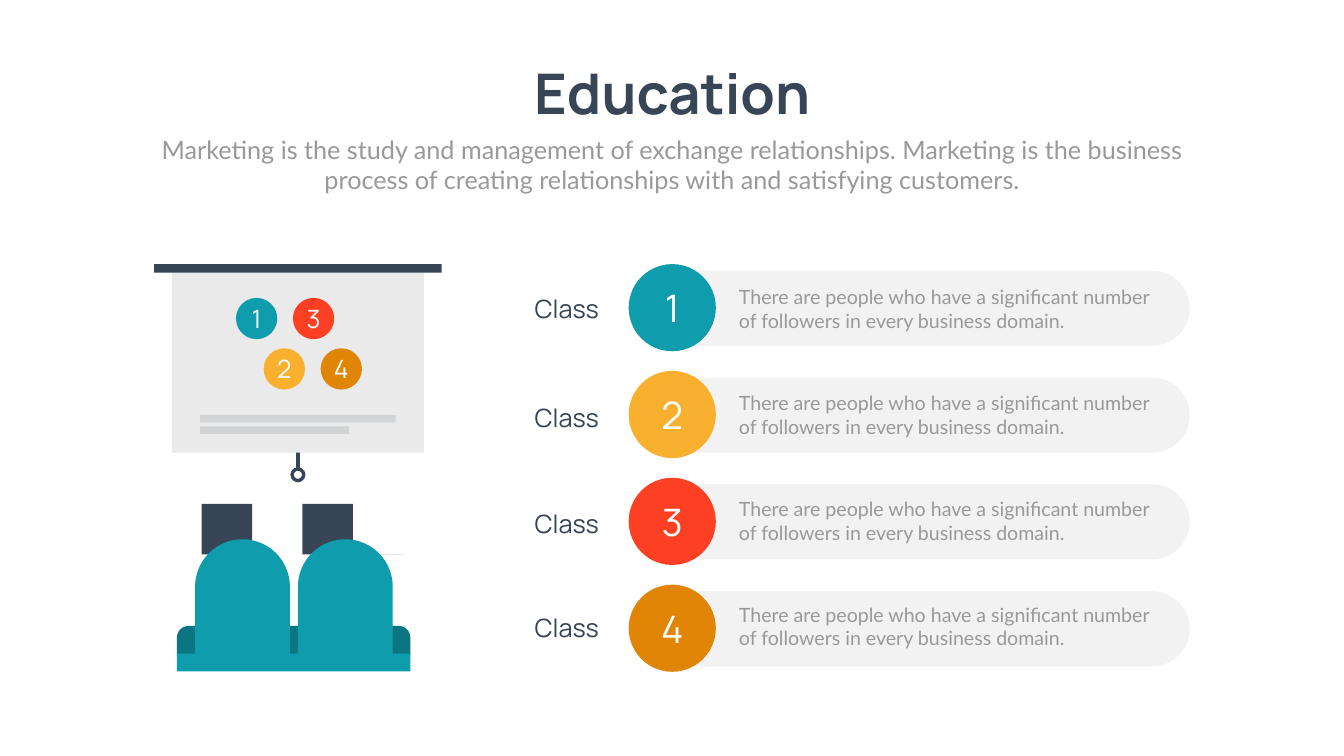
from dataclasses import dataclass

from lxml import etree
from pptx import Presentation
from pptx.dml.color import RGBColor
from pptx.enum.shapes import MSO_CONNECTOR, MSO_SHAPE as Preset
from pptx.enum.text import MSO_ANCHOR as Anchor, PP_ALIGN as Align
from pptx.oxml.ns import qn
from pptx.util import Inches, Pt

COLORS = {
    "background": "FEFFFE", "navy": "374556", "gray": "999999", "pill": "F2F2F2",
    "screen": "EAEAEA", "screen_text": "D1D3D4", "white": "FFFFFF",
    "teal": "0F9DAD", "dark_teal": "0B7581", "yellow": "FAB02F",
    "red": "FD4024", "orange": "E08505",
}
HEADING_FONT, BODY_FONT = "Manrope", "Lato"
INTRO = ("Marketing is the study and management of exchange relationships. "
         "Marketing is the business process of creating relationships with "
         "and satisfying customers.")
CLASS_NOTE = ("There are people who have a significant number of followers "
              "in every business domain.")
ROW_PITCH, NOTE_PITCH = 2.12, 2.1
BADGE_SIZE, SCREEN_BADGE_SIZE = 1.73, 0.82

Point = tuple[float, float]


@dataclass(frozen=True)
class ClassItem:
    number: int
    color: str
    label_top: float
    screen_left: float
    screen_top: float


@dataclass(frozen=True)
class Block:
    left: float
    top: float
    width: float
    height: float
    color: str
    preset: Preset = Preset.RECTANGLE
    rounding: float | None = None


CLASSES = [
    ClassItem(1, "teal", 5.77, 4.68, 5.91),
    ClassItem(2, "yellow", 7.93, 5.23, 6.91),
    ClassItem(3, "red", 10.04, 5.81, 5.91),
    ClassItem(4, "orange", 12.09, 6.36, 6.91),
]
SCREEN = [
    Block(5.76, 9.27, 0.3, 0.3, "navy", Preset.DONUT, 0.23),
    Block(3.41, 5.3, 5, 3.68, "screen"),
    Block(3.06, 5.24, 5.7, 0.17, "navy"),
    Block(3.97, 8.46, 2.95, 0.15, "screen_text"),
    Block(3.97, 8.23, 3.88, 0.15, "screen_text"),
]
SOFA_BACK = Block(3.51, 12.42, 4.63, 0.57, "dark_teal",
                  Preset.ROUND_2_SAME_RECTANGLE, 0.4)
SEATS = [
    *(Block(left, 10.7, 1.88, 2.29, "teal", Preset.ROUND_2_SAME_RECTANGLE, 0.5)
      for left in (3.87, 5.91)),
    Block(3.51, 12.97, 4.63, 0.35, "teal"),
]
MAN_HEAD = [
    (4.31, 9.82), (4.41, 9.73), (4.57, 9.7), (4.75, 9.73), (5, 9.71),
    (5.19, 9.81), (5.27, 9.98), (5.3, 10.11), (5.28, 10.24), (5.28, 10.4),
    (5.26, 10.58), (5.22, 10.71), (5.19, 10.79), (5.05, 10.85), (4.61, 10.86),
    (4.38, 10.85), (4.28, 10.65), (4.18, 10.38), (4.15, 10.2), (4.16, 10.02),
    (4.21, 9.9),
]
HAIR_PARTING = [(4.4, 9.79), (4.45, 9.77), (4.58, 9.75), (4.7, 9.76), (4.58, 9.77)]
WOMAN_HEAD = [
    (7.33, 10.4), (7.32, 10.35), (7.3, 10.15), (7.22, 9.97), (7.02, 9.79),
    (6.75, 9.74), (6.48, 9.8), (6.29, 10.02), (6.27, 10.24), (6.32, 10.46),
    (6.27, 10.69), (6.22, 10.78), (6.14, 10.83), (6.18, 10.87), (6.38, 11.02),
    (6.7, 11.09), (7.07, 11.05), (7.37, 10.93), (7.5, 10.85), (7.56, 10.75),
    (7.44, 10.69), (7.37, 10.57),
]


def rgb(color: str) -> RGBColor:
    return RGBColor.from_string(COLORS[color])


def finish(shape, color: str) -> None:
    shape.shadow.inherit = False
    shape.fill.solid()
    shape.fill.fore_color.rgb = rgb(color)
    shape.line.fill.background()


def write(shape, text: str, *, size: int, color: str, font: str = HEADING_FONT,
          bold: bool = False, align: Align = Align.LEFT,
          anchor: Anchor = Anchor.TOP, wrap: bool = True) -> None:
    frame = shape.text_frame
    frame.word_wrap = wrap
    frame.vertical_anchor = anchor
    paragraph = frame.paragraphs[0]
    paragraph.alignment = align
    run = paragraph.add_run()
    run.text = text
    run.font.name = font
    run.font.size = Pt(size)
    run.font.bold = bold
    run.font.color.rgb = rgb(color)


def add_text(slide, left: float, top: float, width: float, height: float,
             text: str, **text_format) -> None:
    box = slide.shapes.add_textbox(Inches(left), Inches(top),
                                   Inches(width), Inches(height))
    write(box, text, **text_format)


def add_block(slide, block: Block):
    shape = slide.shapes.add_shape(block.preset, Inches(block.left), Inches(block.top),
                                   Inches(block.width), Inches(block.height))
    if block.rounding is not None:
        shape.adjustments[0] = block.rounding
    finish(shape, block.color)
    return shape


def add_badge(slide, left: float, top: float, diameter: float,
              item: ClassItem, size: int) -> None:
    badge = add_block(slide, Block(left, top, diameter, diameter, item.color, Preset.OVAL))
    frame = badge.text_frame
    frame.margin_left = frame.margin_right = frame.margin_top = frame.margin_bottom = 0
    write(badge, str(item.number), size=size, color="white", align=Align.CENTER,
          anchor=Anchor.MIDDLE, wrap=False)


def smooth(points: list[Point], steps: int = 6) -> list[Point]:
    """Run a closed Catmull-Rom curve through the points."""
    curve = []
    count = len(points)
    for i in range(count):
        corners = [points[(i + k) % count] for k in (-1, 0, 1, 2)]
        for t in (step / steps for step in range(steps)):
            curve.append(tuple(
                b + t * (c - a) / 2 + t**2 * (2 * a - 5 * b + 4 * c - d) / 2
                + t**3 * (3 * b - a - 3 * c + d) / 2
                for a, b, c, d in zip(*corners)))
    return curve


def add_silhouette(slide, *outlines: list[Point]) -> None:
    """Draw the first outline filled, with any others cut out of it."""
    curves = [smooth(outline) for outline in outlines]
    builder = slide.shapes.build_freeform(*curves[0][0], scale=float(Inches(1)))
    for i, curve in enumerate(curves):
        if i:
            builder.move_to(*curve[0])
        builder.add_line_segments(curve[1:], close=True)
    finish(builder.convert_to_shape(), "navy")


def add_cord(slide) -> None:
    cord = slide.shapes.add_connector(MSO_CONNECTOR.STRAIGHT, Inches(5.91), Inches(8.95),
                                      Inches(5.91), Inches(9.3))
    cord.line.width = Pt(4.5)
    cord.line.color.rgb = rgb("navy")
    etree.SubElement(cord._element.spPr, qn("a:effectLst"))


def add_classroom(slide) -> None:
    add_cord(slide)
    for block in SCREEN:
        add_block(slide, block)
    for item in CLASSES:
        add_badge(slide, item.screen_left, item.screen_top, SCREEN_BADGE_SIZE, item, 36)
    add_silhouette(slide, MAN_HEAD, HAIR_PARTING)
    add_block(slide, SOFA_BACK)
    add_silhouette(slide, WOMAN_HEAD)
    for seat in SEATS:
        add_block(slide, seat)


def add_class_row(slide, row: int, item: ClassItem) -> None:
    offset = row * ROW_PITCH
    add_block(slide, Block(12.6, 5.37 + offset, 11, 1.49, "pill",
                           Preset.ROUNDED_RECTANGLE, 0.5))
    add_badge(slide, 12.47, 5.24 + offset, BADGE_SIZE, item, 54)
    add_text(slide, 14.56, 5.61 + row * NOTE_PITCH, 8.67, 1.04, CLASS_NOTE,
             size=28, color="gray", font=BODY_FONT)
    add_text(slide, 8.14, item.label_top, 3.84, 0.71, "Class",
             size=36, color="navy", align=Align.RIGHT)


def main() -> None:
    deck = Presentation()
    deck.slide_width, deck.slide_height = Inches(26.66), Inches(15)
    slide = deck.slides.add_slide(deck.slide_layouts[6])
    slide.background.fill.solid()
    slide.background.fill.fore_color.rgb = rgb("background")
    add_text(slide, 10.32, 1.12, 6.03, 1.45, "Education",
             size=80, color="navy", bold=True, align=Align.CENTER)
    add_text(slide, 2.92, 2.61, 20.82, 1.31, INTRO,
             size=36, color="gray", font=BODY_FONT, align=Align.CENTER)
    add_classroom(slide)
    for row, item in enumerate(CLASSES):
        add_class_row(slide, row, item)
    deck.save("out.pptx")


if __name__ == "__main__":
    main()
